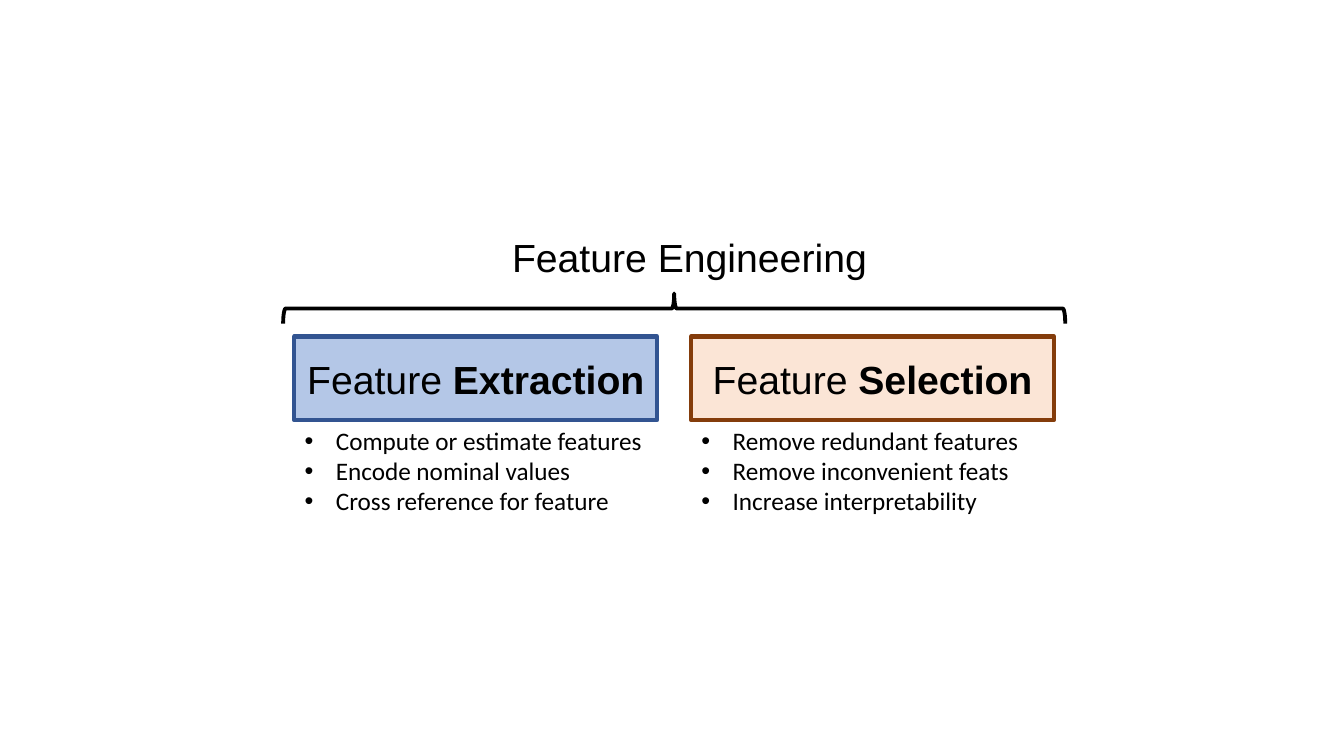
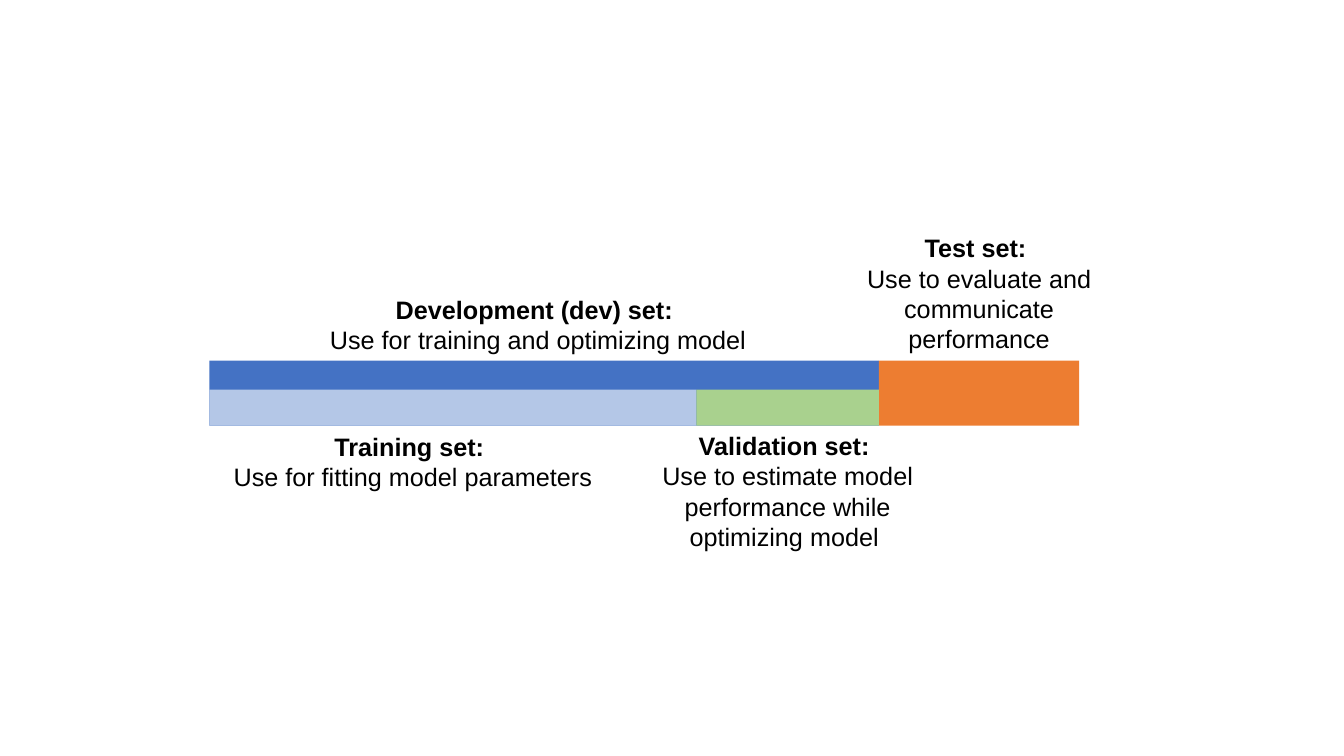
from pptx import Presentation
from pptx.dml.color import RGBColor
from pptx.enum.shapes import MSO_SHAPE
from pptx.enum.text import MSO_ANCHOR, MSO_AUTO_SIZE, PP_ALIGN
from pptx.util import Cm, Pt

RECTANGLE = MSO_SHAPE.RECTANGLE
LEFT_BRACE = MSO_SHAPE.LEFT_BRACE
TOP = MSO_ANCHOR.TOP
MIDDLE = MSO_ANCHOR.MIDDLE
NO_AUTOFIT = MSO_AUTO_SIZE.NONE
LEFT = PP_ALIGN.LEFT
CENTER = PP_ALIGN.CENTER

BLACK = RGBColor(0x00, 0x00, 0x00)
BLUE = RGBColor(0x44, 0x72, 0xC4)
LIGHT_BLUE = RGBColor(0xB4, 0xC7, 0xE7)
DARK_BLUE = RGBColor(0x32, 0x54, 0x91)
ORANGE = RGBColor(0xED, 0x7D, 0x31)
LIGHT_ORANGE = RGBColor(0xFB, 0xE5, 0xD6)
BROWN = RGBColor(0x84, 0x3C, 0x0B)
GREEN = RGBColor(0xA9, 0xD1, 0x8E)

HEADING_FONT = "Arial"
LIST_FONT = "Calibri"
HEADING_SIZE = Pt(28)
TEXT_SIZE = Pt(18)


def add_run(paragraph, text, size, font_name=HEADING_FONT, bold=False):
    run = paragraph.add_run()
    run.text = text
    run.font.name = font_name
    run.font.size = size
    run.font.bold = bold
    run.font.color.rgb = BLACK


def add_rectangle(slide, left, top, width, height, fill, line=None):
    shape = slide.shapes.add_shape(RECTANGLE, Cm(left), Cm(top), Cm(width), Cm(height))
    shape.shadow.inherit = False
    shape.fill.solid()
    shape.fill.fore_color.rgb = fill
    if line is None:
        shape.line.fill.background()
    else:
        shape.line.color.rgb = line
        shape.line.width = Pt(3)
    return shape


presentation = Presentation()
presentation.slide_width = Cm(33.87)
presentation.slide_height = Cm(19.05)
two_content_layout = presentation.slide_layouts[3]
blank_layout = presentation.slide_layouts[6]

slide = presentation.slides.add_slide(two_content_layout)
title, *lists = slide.placeholders
title.left, title.top, title.width, title.height = Cm(12.65), Cm(5.74), Cm(10), Cm(1.45)
title.text_frame.auto_size = NO_AUTOFIT
title.text_frame.vertical_anchor = MIDDLE
paragraph = title.text_frame.paragraphs[0]
paragraph.alignment = LEFT
add_run(paragraph, "Feature Engineering", HEADING_SIZE)

brace = slide.shapes.add_shape(LEFT_BRACE, Cm(16.61), Cm(-2.08), Cm(0.76), Cm(19.71))
brace.rotation = 90
brace.shadow.inherit = False
brace.fill.background()
brace.line.color.rgb = BLACK
brace.line.width = Pt(2.75)

branches = [
    ("Extraction", LIGHT_BLUE, DARK_BLUE,
     ["Compute or estimate features", "Encode nominal values", "Cross reference for feature"]),
    ("Selection", LIGHT_ORANGE, BROWN,
     ["Remove redundant features", "Remove inconvenient feats", "Increase interpretability"]),
]
box_top, box_width, box_height, box_pitch = 8.48, 9.14, 2.11, 10

for index, (name, fill, line, items) in enumerate(branches):
    box_left = 7.42 + index * box_pitch
    box = add_rectangle(slide, box_left, box_top, box_width, box_height, fill, line)
    box.text_frame.vertical_anchor = MIDDLE
    paragraph = box.text_frame.paragraphs[0]
    paragraph.alignment = CENTER
    add_run(paragraph, "Feature ", HEADING_SIZE)
    add_run(paragraph, name, HEADING_SIZE, bold=True)

    body = lists[index]
    body.left, body.top = Cm(box_left), Cm(box_top + box_height)
    body.width, body.height = Cm(9.6), Cm(2.57)
    body.text_frame.auto_size = NO_AUTOFIT
    body.text_frame.vertical_anchor = TOP
    for number, item in enumerate(items):
        paragraph = body.text_frame.add_paragraph() if number else body.text_frame.paragraphs[0]
        properties = paragraph._p.get_or_add_pPr()
        properties.set("marL", str(Cm(0.79)))
        properties.set("indent", str(-Cm(0.79)))
        paragraph.space_before = Pt(0)
        add_run(paragraph, item, TEXT_SIZE, LIST_FONT)

slide = presentation.slides.add_slide(blank_layout)
bar_left, bar_top, bar_height = 5.28, 9.09, 1.64
development_width, training_width, test_width = 16.87, 12.27, 5.05
split_height = 0.91
split_top = bar_top + bar_height - split_height
bars = [
    (bar_left, bar_top, development_width, bar_height, BLUE),
    (bar_left + development_width, bar_top, test_width, bar_height, ORANGE),
    (bar_left, split_top, training_width, split_height, LIGHT_BLUE),
    (bar_left + training_width, split_top, development_width - training_width, split_height, GREEN),
]
for bar in bars:
    add_rectangle(slide, *bar)

labels = [
    (7.75, 7.29, 11.61, 1.8, "Development (dev) set: ", "Use for training and optimizing model"),
    (21.26, 5.74, 6.83, 3.33, "Test set: ", "Use to evaluate and communicate performance"),
    (4.6, 10.74, 11.61, 1.8, "Training set: ", "Use for fitting model parameters"),
    (15.85, 10.72, 8, 3.33, "Validation set: ",
     "Use to estimate model performance while optimizing model "),
]
for left, top, width, height, heading, purpose in labels:
    label = slide.shapes.add_textbox(Cm(left), Cm(top), Cm(width), Cm(height))
    label.text_frame.word_wrap = True
    heading_paragraph = label.text_frame.paragraphs[0]
    heading_paragraph.alignment = CENTER
    add_run(heading_paragraph, heading, TEXT_SIZE, bold=True)
    purpose_paragraph = label.text_frame.add_paragraph()
    purpose_paragraph.alignment = CENTER
    add_run(purpose_paragraph, purpose, TEXT_SIZE)

presentation.save("out.pptx")
